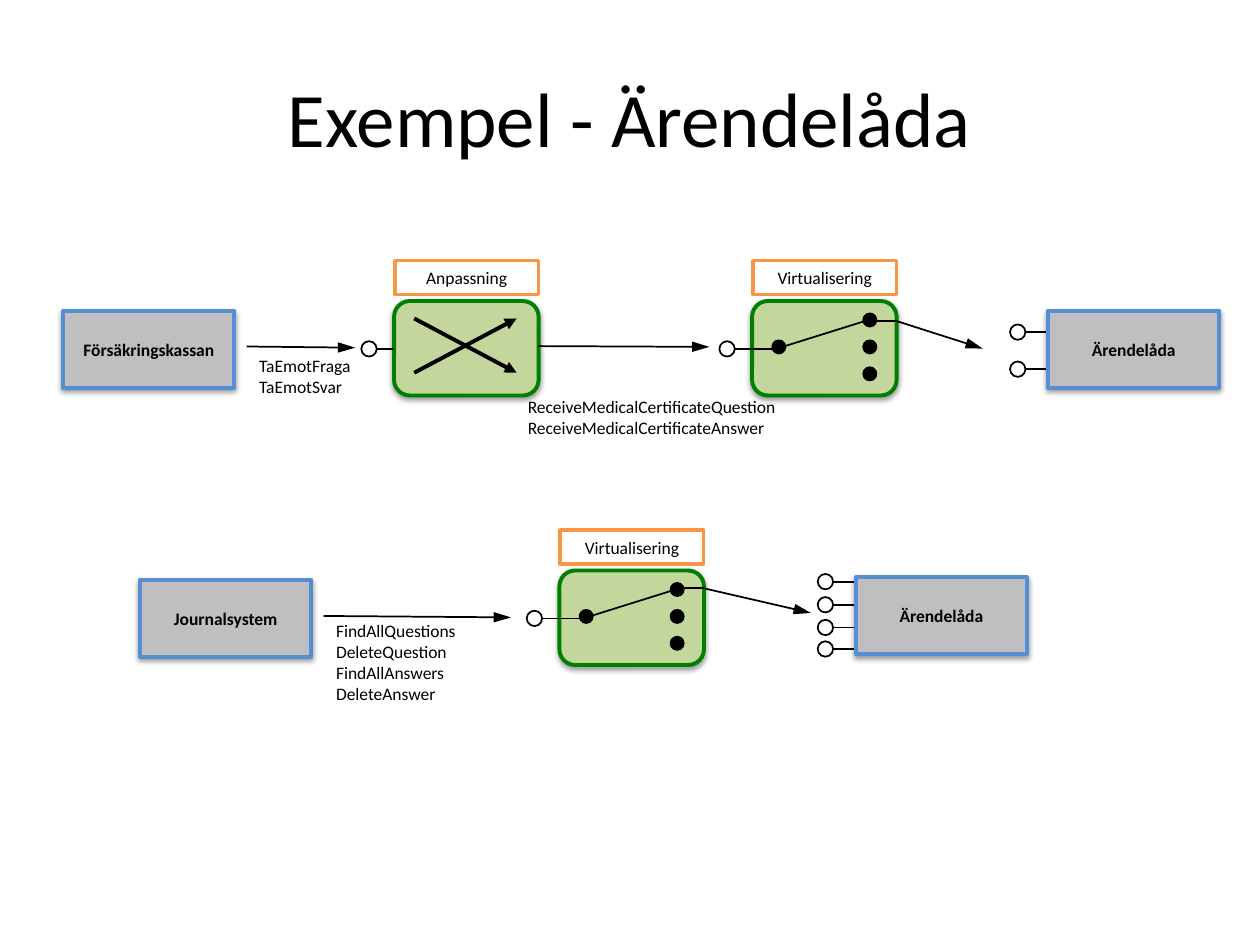
from lxml import etree
from pptx import Presentation
from pptx.dml.color import RGBColor
from pptx.enum import shapes, text
from pptx.oxml import ns
from pptx.util import Pt

COLORS = {
    "ink": "000000", "paper": "FFFFFF", "system": "BFBFBF", "system_edge": "558ED5",
    "gate": "C3D69B", "gate_edge": "008000", "label_edge": "F79646",
}
KIND = shapes.MSO_SHAPE
CENTER, LEFT = text.PP_ALIGN.CENTER, text.PP_ALIGN.LEFT
MIDDLE, TOP = text.MSO_ANCHOR.MIDDLE, text.MSO_ANCHOR.TOP
GATE_W, GATE_H = 82.6, 54
SYSTEM_W, SYSTEM_H = 98, 44
DOT, PORT = 6.5, 8.8


def rgb(name):
    return RGBColor.from_string(COLORS[name])


class Diagram:
    """Holds the style and the current slide."""
    font_name = "Calibri"

    def __init__(self, slide):
        self.shapes = slide.shapes

    def set_text(self, shape, lines, size=10, bold=False, align=CENTER, anchor=MIDDLE, wrap=True):
        frame = shape.text_frame
        for key, value in {"word_wrap": wrap, "vertical_anchor": anchor}.items():
            setattr(frame, key, value)
        frame.text = "\n".join(lines)
        for paragraph in frame.paragraphs:
            paragraph.alignment = align
            style = {"name": self.font_name, "size": Pt(size), "bold": bold}
            for key, value in style.items():
                setattr(paragraph.font, key, value)
            paragraph.font.color.rgb = rgb("ink")

    def textbox(self, x, y, w, h, lines, **style):
        box = self.shapes.add_textbox(Pt(x), Pt(y), Pt(w), Pt(h))
        self.set_text(box, lines, **style)

    def box(self, kind, x, y, w, h, fill, edge, width, shadow=False):
        shape = self.shapes.add_shape(kind, Pt(x), Pt(y), Pt(w), Pt(h))
        shape.fill.solid()
        shape.fill.fore_color.rgb = rgb(fill)
        shape.line.color.rgb = rgb(edge)
        shape.line.width = Pt(width)
        shape.shadow.inherit = False
        if shadow:
            effects = shape.element.spPr.find(ns.qn("a:effectLst"))
            outer = etree.SubElement(effects, ns.qn("a:outerShdw"), blurRad=str(Pt(3.1)),
                                     dist=str(Pt(1.6)), dir="5400000", rotWithShape="0")
            tint = etree.SubElement(outer, ns.qn("a:srgbClr"), val=COLORS["ink"])
            etree.SubElement(tint, ns.qn("a:alpha"), val="38000")
        return shape

    def line(self, x1, y1, x2, y2, width=1, head=None):
        wire = self.shapes.add_connector(
            shapes.MSO_CONNECTOR.STRAIGHT, Pt(x1), Pt(y1), Pt(x2), Pt(y2))
        wire.line.color.rgb = rgb("ink")
        wire.line.width = Pt(width)
        if head:
            etree.SubElement(wire.element.spPr.find(ns.qn("a:ln")), ns.qn("a:tailEnd"),
                             type="triangle", w="med", len=head)
        etree.SubElement(wire.element.spPr, ns.qn("a:effectLst"))

    def system(self, x, y, name):
        shape = self.box(KIND.RECTANGLE, x, y, SYSTEM_W, SYSTEM_H,
                         "system", "system_edge", 2.25, shadow=True)
        self.set_text(shape, [name], bold=True)

    def port(self, x, y, reach):
        self.box(KIND.FLOWCHART_CONNECTOR, x, y, PORT, PORT, "paper", "ink", 1)
        self.line(x + PORT, y + PORT / 2, x + PORT + reach, y + PORT / 2)

    def provider(self, x, y, name, port_offsets):
        self.system(x, y, name)
        for offset in port_offsets:
            self.port(x - 21.6, y + offset, 12)

    def gate(self, x, y, name, reach):
        self.box(KIND.ROUNDED_RECTANGLE, x, y, GATE_W, GATE_H,
                 "gate", "gate_edge", 2.25, shadow=True)
        label = self.box(KIND.RECTANGLE, x + 0.4, y - 23, 82, 19.4, "paper", "label_edge", 2)
        self.set_text(label, [name])
        self.port(x - 18.7, y + 23, reach)

    def adaptation(self, x, y):
        self.gate(x, y, "Anpassning", 10)
        for start, end in ((41, 10), (10, 41)):
            self.line(x + 11.5, y + start, x + 70, y + end, 2.25, "med")

    def virtualisation(self, x, y, exit_y, target):
        self.gate(x, y, "Virtualisering", 28)
        for dx, dy in ((12, 23), (64, 7.6), (64, 23), (64, 38.4)):
            self.box(KIND.FLOWCHART_CONNECTOR, x + dx, y + dy, DOT, DOT, "ink", "ink", 2)
        self.line(x + 18, y + 26, x + 64, y + 11.6)
        self.line(x + 67.6, exit_y, x + GATE_W, exit_y)
        self.line(x + GATE_W, exit_y, *target, head="lg")

    def operations(self, x, y, w, names):
        self.textbox(x, y, w, 7.2 + 12.2 * len(names), names,
                     align=LEFT, anchor=TOP, wrap=False)


deck = Presentation()
deck.slide_width, deck.slide_height = Pt(720), Pt(540)
diagram = Diagram(deck.slides.add_slide(deck.slide_layouts[6]))

# Title
diagram.textbox(36, 21.6, 648, 90, ["Exempel - Ärendelåda"], size=44)

# Upper flow: questions and answers sent to the case box
diagram.system(36, 177.6, "Försäkringskassan")
diagram.line(141, 198, 203, 198.7, head="lg")
diagram.adaptation(225.2, 172)
diagram.line(307.7, 197.8, 405.4, 198.2, head="lg")
diagram.virtualisation(429.8, 172, 183.5, (561.6, 199.2))
diagram.provider(598.8, 177.6, "Ärendelåda", (7.8, 29))
diagram.operations(141, 199.4, 68.4, ["TaEmotFraga", "TaEmotSvar"])
diagram.operations(294.5, 222.5, 159, [
    "ReceiveMedicalCertificateQuestion", "ReceiveMedicalCertificateAnswer"])

# Lower flow: the record system reads and deletes
diagram.system(79.9, 331.4, "Journalsystem")
diagram.line(185, 352, 292, 352.8, head="lg")
diagram.virtualisation(319.7, 326, 336.2, (463.4, 350.3))
diagram.provider(488.9, 329.8, "Ärendelåda", (-1.8, 11.4, 24.4, 36.7))
diagram.operations(185, 350.6, 83.5, [
    "FindAllQuestions", "DeleteQuestion", "FindAllAnswers", "DeleteAnswer"])

deck.save("out.pptx")
